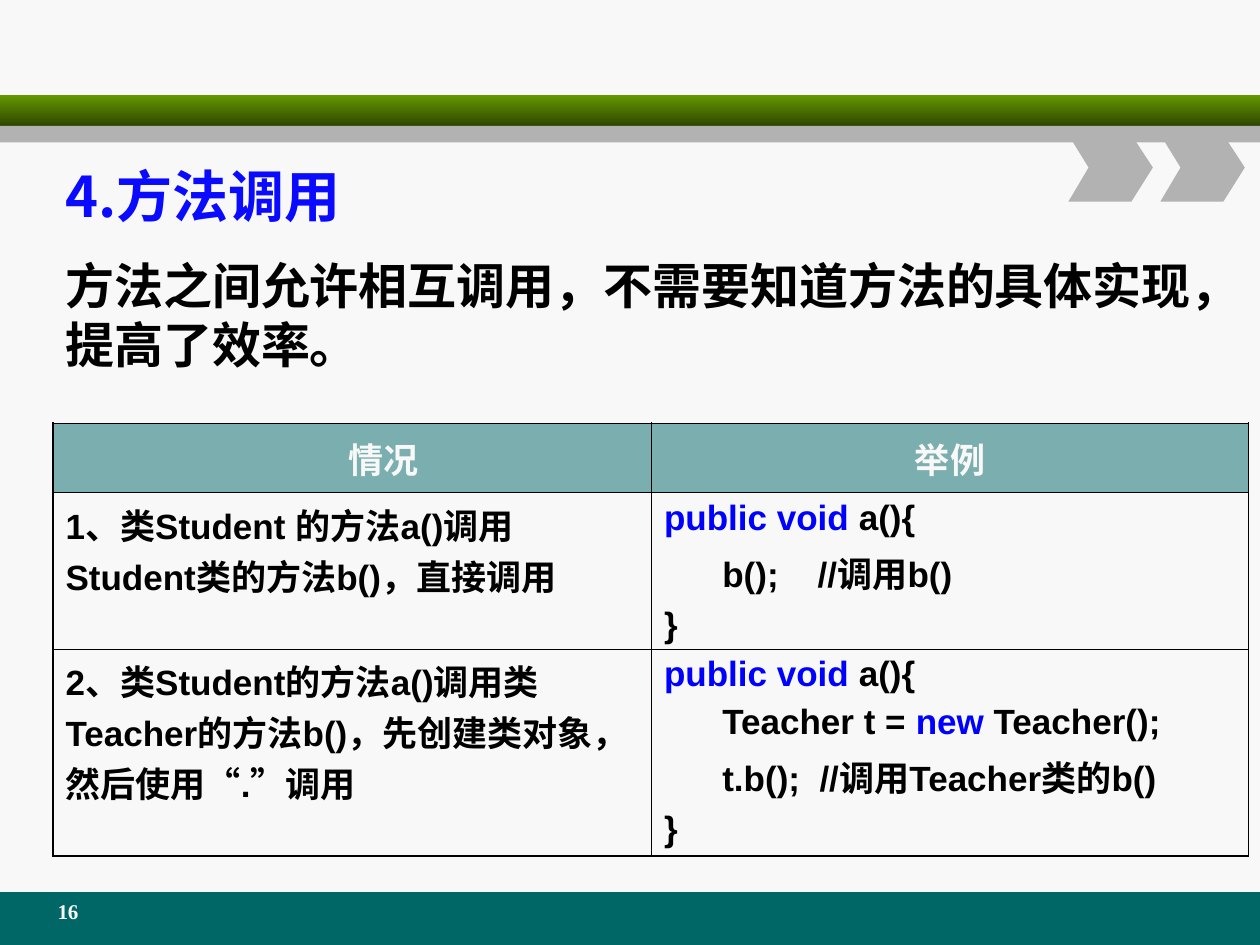
"""Build a slide explaining how Java methods call each other."""
from typing import Any, NamedTuple, Optional

import pptx
import pptx.dml.color
import pptx.enum.shapes
import pptx.enum.text
import pptx.oxml
import pptx.oxml.ns
import pptx.util
from lxml import etree

Inches = pptx.util.Inches
Pt = pptx.util.Pt
RGBColor = pptx.dml.color.RGBColor
ALIGN = pptx.enum.text.PP_ALIGN
ANCHOR = pptx.enum.text.MSO_ANCHOR
qn = pptx.oxml.ns.qn

PAPER = RGBColor(0xF8, 0xF8, 0xF8)
TEAL = RGBColor(0x00, 0x66, 0x66)
GREEN = RGBColor(0x66, 0x99, 0x00)
DARK_GREEN = RGBColor(0x2F, 0x47, 0x00)
GRAY = RGBColor(0xB2, 0xB2, 0xB2)
TITLE_BLUE = RGBColor(0x0A, 0x0A, 0xFF)
KEYWORD_BLUE = RGBColor(0x00, 0x00, 0xFF)
BLACK = RGBColor(0x00, 0x00, 0x00)
CHINESE_FONT = "Noto Sans CJK SC"
THICK, THIN = 1.08, 0.45


class Band(NamedTuple):
    top: float
    height: float
    color: RGBColor
    fade_to: Optional[RGBColor] = None


class Run(NamedTuple):
    text: str
    color: RGBColor = BLACK


class Cell(NamedTuple):
    lines: list[list[Run]]
    header: bool = False
    indent: float = 0


BANDS = [
    Band(7.08, 0.42, TEAL),
    Band(0.75, 0.25, GREEN, DARK_GREEN),
    Band(1, 0.13, GRAY),
]
CHEVRON_LEFTS = [8.48, 9.21]
CHEVRON_OUTLINE = [(0, 0), (0.5, 0), (0.67, 0.26), (0.5, 0.53), (0, 0.53), (0.16, 0.26)]
METHOD_START = [Run("public void", KEYWORD_BLUE), Run(" a(){")]
METHOD_END = [Run("}")]
CALL_CASES = [
    [
        Cell([[Run("情况", PAPER)]], header=True, indent=0.5),
        Cell([[Run("举例", PAPER)]], header=True),
    ],
    [
        Cell([[Run("1、类Student 的方法a()调用Student类的方法b()，直接调用")]]),
        Cell([METHOD_START, [Run("      b();    //调用b()")], METHOD_END]),
    ],
    [
        Cell([[Run("2、类Student的方法a()调用类Teacher的方法b()，先创建类对象，然后使用“.”调用")]]),
        Cell([
            METHOD_START,
            [Run("      Teacher t = "), Run("new", KEYWORD_BLUE), Run(" Teacher();")],
            [Run("      t.b();  //调用Teacher类的b()")],
            METHOD_END,
        ]),
    ],
]


def write(frame: Any, lines: list[list[Run]], *, size: float, font: str,
          align: Any = ALIGN.LEFT, gap: float = 0, indent: float = 0) -> None:
    """Fill a text frame with bold paragraphs of coloured runs."""
    frame.word_wrap = True
    for index, line in enumerate(lines):
        paragraph = frame.paragraphs[0] if index == 0 else frame.add_paragraph()
        paragraph.alignment = align
        if index:
            paragraph.space_before = Pt(gap)
        if indent:
            paragraph._p.get_or_add_pPr().set("marL", str(Inches(indent)))
        for part in line:
            run = paragraph.add_run()
            run.text = part.text
            run.font.size = Pt(size)
            run.font.bold = True
            run.font.name = font
            run.font.color.rgb = part.color
            latin = run._r.rPr.find(qn("a:latin"))
            east_asian = etree.Element(qn("a:ea"), typeface=CHINESE_FONT)
            latin.addnext(east_asian)


def draw_band(slide: Any, band: Band) -> None:
    """Draw a full-width stripe, plain or fading downwards."""
    stripe = slide.shapes.add_shape(
        pptx.enum.shapes.MSO_SHAPE.RECTANGLE,
        0, Inches(band.top), Inches(10), Inches(band.height))
    stripe.shadow.inherit = False
    stripe.line.fill.background()
    if band.fade_to is None:
        stripe.fill.solid()
        stripe.fill.fore_color.rgb = band.color
        return
    stripe.fill.gradient()
    stripe.fill.gradient_angle = 270
    for stop, color, position in zip(
            stripe.fill.gradient_stops, (band.color, band.fade_to), (0, 1)):
        stop.color.rgb = color
        stop.position = position


def draw_chevron(slide: Any, left: float, top: float) -> None:
    """Draw one grey chevron pointing right."""
    points = [(Inches(left + x), Inches(top + y)) for x, y in CHEVRON_OUTLINE]
    builder = slide.shapes.build_freeform(*points[0])
    builder.add_line_segments(points[1:], close=True)
    chevron = builder.convert_to_shape()
    chevron.shadow.inherit = False
    chevron.line.fill.background()
    chevron.fill.solid()
    chevron.fill.fore_color.rgb = GRAY


def add_text(slide: Any, box: tuple[float, float, float, float],
             run: Run, **text_format: Any) -> None:
    """Add a text box holding one paragraph."""
    frame = slide.shapes.add_textbox(*map(Inches, box)).text_frame
    write(frame, [[run]], **text_format)


def set_border(cell: Any, side: str, width: float) -> None:
    """Give one side of a cell a black line."""
    line = etree.SubElement(cell._tc.get_or_add_tcPr(), qn(f"a:ln{side}"), w=str(Pt(width)))
    fill = etree.SubElement(line, qn("a:solidFill"))
    etree.SubElement(fill, qn("a:srgbClr"), val=str(BLACK))


def add_call_table(slide: Any) -> None:
    """Add the table of call cases and their examples."""
    last_row, last_column = len(CALL_CASES) - 1, len(CALL_CASES[0]) - 1
    table = slide.shapes.add_table(
        last_row + 1, last_column + 1,
        Inches(0.42), Inches(3.36), Inches(9.49), Inches(3.43)).table
    table.first_row = table.horz_banding = False
    for column, width in zip(table.columns, (4.75, 4.74)):
        column.width = Inches(width)
    for row, height in zip(table.rows, (0.55, 1.24, 1.64)):
        row.height = Inches(height)
    for r, case in enumerate(CALL_CASES):
        for c, content in enumerate(case):
            cell = table.cell(r, c)
            outer_sides = {"L": c == 0, "R": c == last_column, "T": r == 0, "B": r == last_row}
            for side, outer in outer_sides.items():
                set_border(cell, side, THICK if outer else THIN)
            cell.fill.solid()
            cell.fill.fore_color.rgb = TEAL if content.header else PAPER
            if content.header:
                color = cell._tc.tcPr.find(f"{qn('a:solidFill')}/{qn('a:srgbClr')}")
                etree.SubElement(color, qn("a:alpha"), val="50000")
            cell.vertical_anchor = ANCHOR.MIDDLE if content.header else ANCHOR.TOP
            write(cell.text_frame, content.lines, size=20, font="Arial", gap=5,
                  align=ALIGN.CENTER if content.header else ALIGN.LEFT,
                  indent=content.indent)


def main() -> None:
    """Assemble and save the slide."""
    deck = pptx.Presentation()
    deck.slide_width, deck.slide_height = Inches(10), Inches(7.5)
    slide = deck.slides.add_slide(deck.slide_layouts[5])
    slide.background.fill.solid()
    slide.background.fill.fore_color.rgb = PAPER
    for band in BANDS:
        draw_band(slide, band)
    for left in CHEVRON_LEFTS:
        draw_chevron(slide, left, 1.07)

    title = slide.shapes.title
    title.left, title.top, title.width, title.height = map(Inches, (0.42, 1.17, 8.5, 0.75))
    title.text_frame.vertical_anchor = ANCHOR.MIDDLE
    write(title.text_frame, [[Run("4.方法调用", TITLE_BLUE)]], size=32, font=CHINESE_FONT)

    add_text(slide, (0.25, 7.08, 0.58, 0.33), Run("16", PAPER),
             size=12, font="Times New Roman", align=ALIGN.CENTER)
    add_text(slide, (0.42, 1.98, 9.49, 1.03),
             Run("方法之间允许相互调用，不需要知道方法的具体实现，提高了效率。"),
             size=28, font="DejaVu Sans")
    add_call_table(slide)
    deck.save("out.pptx")


if __name__ == "__main__":
    main()
